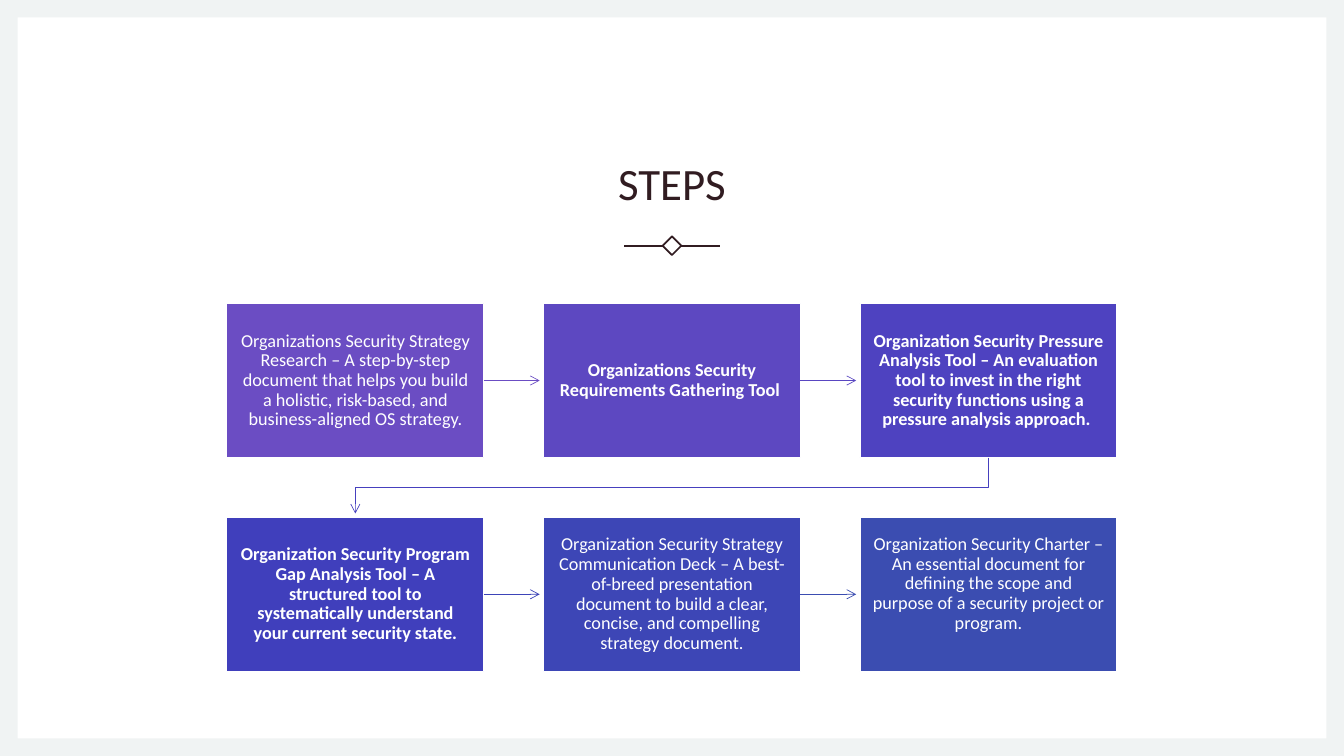
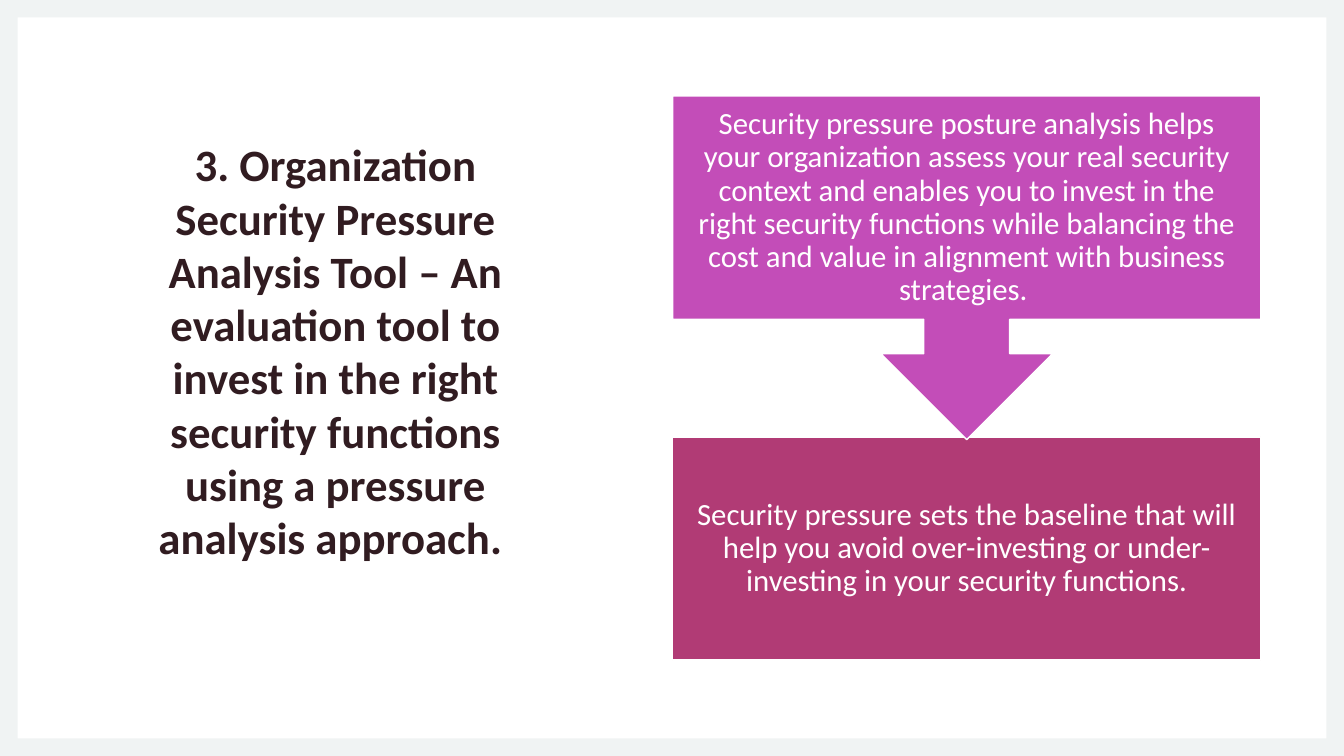
from dataclasses import dataclass
from typing import NamedTuple

from lxml.etree import SubElement
from pptx import Presentation
from pptx.dml.color import RGBColor
from pptx.enum.shapes import MSO_CONNECTOR, MSO_SHAPE
from pptx.enum.text import MSO_ANCHOR, MSO_AUTO_SIZE, PP_ALIGN
from pptx.oxml.ns import qn
from pptx.shapes.autoshape import Shape
from pptx.shapes.connector import Connector
from pptx.slide import Slide
from pptx.text.text import TextFrame
from pptx.util import Pt


@dataclass(frozen=True)
class Theme:
    font: str = "Calibri"
    edge: str = "F0F3F3"
    white: str = "FFFFFF"
    ink: str = "311C21"
    pink: str = "C34DB8"
    rose: str = "B13B75"
    head: float = 32
    body: float = 22
    small: float = 13
    thin: float = 0.5
    rim: float = 1
    rule: float = 1.25


class Area(NamedTuple):
    x: float
    y: float
    w: float
    h: float


class Step(NamedTuple):
    text: str
    fill: str
    link: str = ""  # colour of the arrow to the next step
    bold: bool = False
    lift: float = 0  # extra room below the text


THEME = Theme()
WIDE, HIGH = 960, 540
RIM = 12.5

STEPS = [
    Step("Organizations Security Strategy Research – A step-by-step document that helps "
         "you build a holistic, risk-based, and business-aligned OS strategy.",
         "6B4DC3", "6B4DC3"),
    Step("Organizations Security Requirements Gathering Tool ", "5D48C1", "5946C1", True),
    Step("Organization Security Pressure Analysis Tool – An evaluation tool to invest in "
         "the right security functions using a pressure analysis approach. ",
         "4E42C0", "4640BE", True),
    Step("Organization Security Program Gap Analysis Tool – A structured tool to "
         "systematically understand your current security state.",
         "403FBC", "3D44B8", True),
    Step("Organization Security Strategy Communication Deck – A best-of-breed presentation "
         "document to build a clear, concise, and compelling strategy document.",
         "3D46B6", "3B4DB1"),
    Step("Organization Security Charter – An essential document for defining the scope and "
         "purpose of a security project or program.", "3B4DB1", lift=15),
]

# Step grid
COLS = 3
GRID = Area(162, 216.7, 183.6, 110.2)
STEP_X, STEP_Y = 226.1, 152.7
STOP = 2.6  # space left before an arrow's target


def rgb(code: str) -> RGBColor:
    return RGBColor.from_string(code)


def pts(area: Area) -> list[Pt]:
    return [Pt(n) for n in area]


# Text
def put(frame: TextFrame, text: str, size: float, color: str, bold: bool = False,
        pad: float = 7.2, lift: float = 0, lead: float = 0.9,
        anchor: MSO_ANCHOR = MSO_ANCHOR.MIDDLE) -> None:
    frame.word_wrap = True
    frame.auto_size = MSO_AUTO_SIZE.NONE
    frame.vertical_anchor = anchor
    frame.margin_left = frame.margin_right = frame.margin_top = Pt(pad)
    frame.margin_bottom = Pt(pad + lift)
    para = frame.paragraphs[0]
    para.alignment = PP_ALIGN.CENTER
    para.line_spacing = lead
    run = para.add_run()
    run.text = text
    run.font.name = THEME.font
    run.font.size = Pt(size)
    run.font.bold = bold
    run.font.color.rgb = rgb(color)


def title(slide: Slide, area: Area, text: str, **look) -> None:
    shape = slide.shapes.title
    shape.left, shape.top, shape.width, shape.height = pts(area)
    put(shape.text_frame, text, THEME.head, THEME.ink, **look)


# Shapes and lines
def block(slide: Slide, area: Area, fill: str = "", line: str = "",
          width: float = THEME.rim, kind: MSO_SHAPE = MSO_SHAPE.RECTANGLE) -> Shape:
    shape = slide.shapes.add_shape(kind, *pts(area))
    shape.shadow.inherit = False
    if fill:
        shape.fill.solid()
        shape.fill.fore_color.rgb = rgb(fill)
    else:
        shape.fill.background()
    if line:
        shape.line.color.rgb = rgb(line)
        shape.line.width = Pt(width)
    else:
        shape.line.fill.background()
    return shape


def stroke(slide: Slide, x: float, y: float, end: float, color: str,
           width: float) -> Connector:
    line = slide.shapes.add_connector(
        MSO_CONNECTOR.STRAIGHT, Pt(x), Pt(y), Pt(end), Pt(y))
    line.line.color.rgb = rgb(color)
    line.line.width = Pt(width)
    SubElement(line.element.spPr, qn("a:effectLst"))
    return line


def tip(shape: Shape | Connector) -> None:
    tail = SubElement(shape.element.spPr.get_or_add_ln(), qn("a:tailEnd"))
    tail.set("type", "arrow")


def bend(slide: Slide, dots: list[tuple[float, float]], color: str) -> None:
    first, *rest = [(Pt(x), Pt(y)) for x, y in dots]
    maker = slide.shapes.build_freeform(*first)
    maker.add_line_segments(rest, close=False)
    shape = maker.convert_to_shape()
    shape.shadow.inherit = False
    shape.fill.background()
    shape.line.color.rgb = rgb(color)
    shape.line.width = Pt(THEME.thin)
    tip(shape)


# Shared base: white panel behind the title
def page(deck: Presentation) -> Slide:
    slide = deck.slides.add_slide(deck.slide_layouts[5])
    panel = block(slide, Area(RIM, RIM, WIDE - 2 * RIM, HIGH - 2 * RIM), THEME.white)
    slide.shapes.title.element.addprevious(panel.element)
    return slide


def mark(slide: Slide, mid: float, y: float) -> None:
    half, near, far = 4.75, 6.5, 34.5
    gem = block(slide, Area(mid - half, y - half, 2 * half, 2 * half),
                line=THEME.ink, width=THEME.rule)
    gem.rotation = 45
    for side in (-1, 1):
        stroke(slide, mid + side * near, y, mid + side * far, THEME.ink, THEME.rule)


def cell(spot: int) -> Area:
    row, col = divmod(spot, COLS)
    return Area(GRID.x + col * STEP_X, GRID.y + row * STEP_Y, GRID.w, GRID.h)


def flow(slide: Slide) -> None:
    for spot, step in enumerate(STEPS):
        area = cell(spot)
        box = block(slide, area, step.fill, THEME.white)
        put(box.text_frame, step.text, THEME.small, THEME.white, step.bold,
            pad=9, lift=step.lift)
        if not step.link:
            continue
        goal = cell(spot + 1)
        if goal.y == area.y:
            arrow = stroke(slide, area.x + area.w, area.y + area.h / 2,
                           goal.x - STOP, step.link, THEME.thin)
            arrow.begin_connect(box, 3)
            tip(arrow)
        else:
            low = area.y + area.h
            turn = (low + goal.y) / 2
            start, end = area.x + area.w / 2, goal.x + goal.w / 2
            bend(slide, [(start, low), (start, turn), (end, turn),
                         (end, goal.y - STOP)], step.link)


# Slide 1: six steps
def steps(deck: Presentation) -> None:
    slide = page(deck)
    title(slide, Area(81, 75.6, 798, 81.4), "STEPS", lead=1.1, anchor=MSO_ANCHOR.BOTTOM)
    mark(slide, WIDE / 2, 175.5)
    flow(slide)


# Slide 2: the pressure tool
def tool(deck: Presentation) -> None:
    slide = page(deck)
    title(slide, Area(80.6, 80.6, 318.2, 378),
          "3. Organization Security Pressure Analysis Tool – An evaluation tool to invest "
          "in the right security functions using a pressure analysis approach. ",
          bold=True, lift=36, lead=0.99)
    left, wide, high = 480.5, 420, 159.5
    base = block(slide, Area(left, 312, wide, high), THEME.rose, THEME.white)
    put(base.text_frame,
        "Security pressure sets the baseline that will help you avoid over-investing or "
        "under-investing in your security functions.",
        THEME.body, THEME.white, pad=12.3)
    call = block(slide, Area(left, 68.6, wide, 245.4), THEME.pink, THEME.white,
                 kind=MSO_SHAPE.UP_ARROW_CALLOUT)
    call.rotation = 180
    note = slide.shapes.add_textbox(*pts(Area(left, 68.6, wide, high)))
    put(note.text_frame,
        "Security pressure posture analysis helps your organization assess your real "
        "security context and enables you to invest in the right security functions while "
        "balancing the cost and value in alignment with business strategies. ",
        THEME.body, THEME.white, pad=12.3)


def main() -> None:
    deck = Presentation()
    deck.slide_width, deck.slide_height = Pt(WIDE), Pt(HIGH)
    back = deck.slide_master.background.fill
    back.solid()
    back.fore_color.rgb = rgb(THEME.edge)
    steps(deck)
    tool(deck)
    deck.save("out.pptx")


if __name__ == "__main__":
    main()
